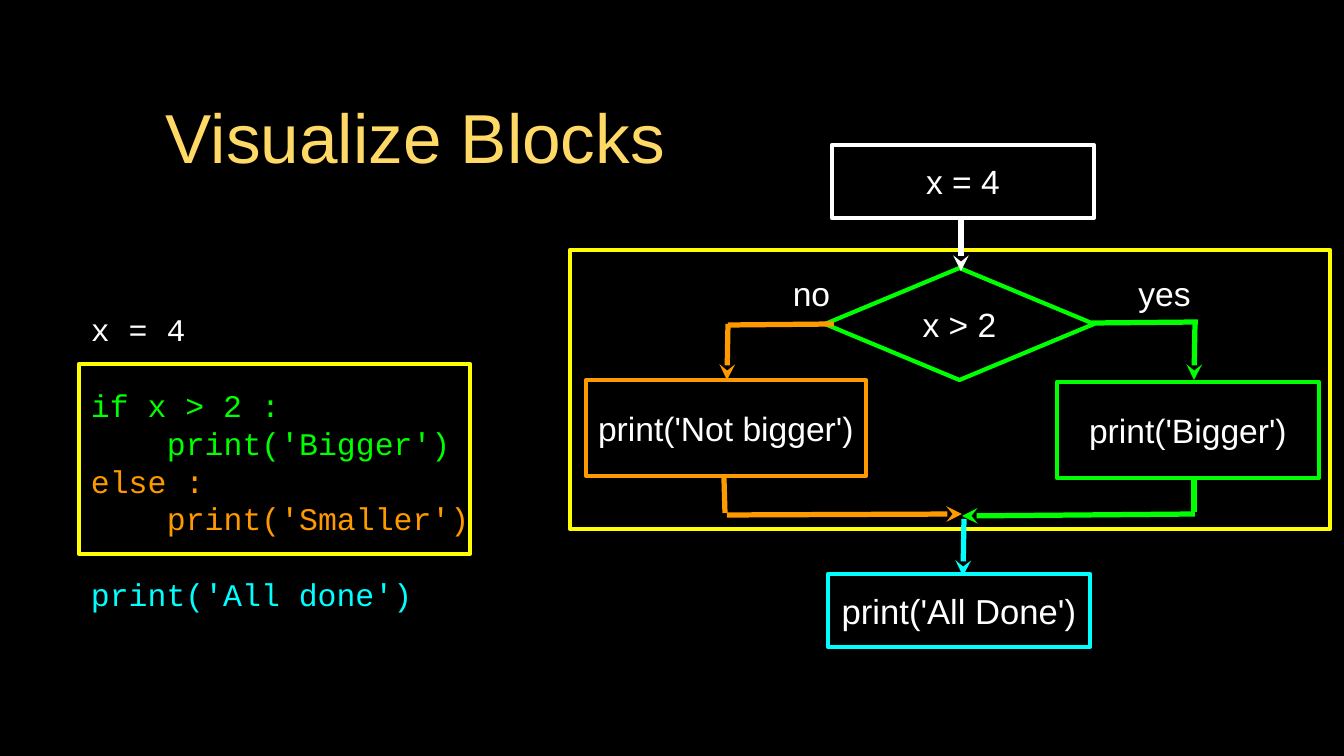
import pptx
import pptx.util
import pptx.dml.color
import pptx.enum.shapes
import pptx.enum.text
import pptx.oxml.ns
import lxml.etree

EMU_PER_PIXEL = 914400 / 75.6
COLORS = {
    "background": "000000", "title": "FFD966", "text": "FFFFFF", "block": "FFFF00",
    "yes": "00FF00", "no": "FF9900", "done": "00FFFF",
}
ALIGN = pptx.enum.text.PP_ALIGN
SHAPE = pptx.enum.shapes.MSO_SHAPE


def px(length):
    return pptx.util.Emu(round(length * EMU_PER_PIXEL))


def color(name):
    return pptx.dml.color.RGBColor.from_string(COLORS[name])


def add_text(frame, text, *, size=32, font="Arial", ink="text", align=ALIGN.CENTER,
             first=True, indent=0, before=0, leading=None):
    """Write one paragraph into a text frame."""
    para = frame.paragraphs[0] if first else frame.add_paragraph()
    para.alignment = align
    para.space_before = pptx.util.Pt(before)
    if leading:
        para.line_spacing = pptx.util.Pt(leading)
    if indent:
        para._p.get_or_add_pPr().set("marL", str(px(indent)))
    span = para.add_run()
    span.text = text
    span.font.size = pptx.util.Pt(size)
    span.font.name = font
    span.font.color.rgb = color(ink)


def prepare_frame(box, wrap=True, top=0):
    frame = box.text_frame
    frame.word_wrap = wrap
    frame.vertical_anchor = pptx.enum.text.MSO_ANCHOR.MIDDLE
    frame.margin_left = frame.margin_right = frame.margin_bottom = 0
    frame.margin_top = px(top)
    return frame


def add_label(page, left, top, width, height, text, **style):
    box = page.shapes.add_textbox(px(left), px(top), px(width), px(height))
    add_text(prepare_frame(box, wrap=False), text, **style)


def add_outline(page, left, top, width, height, ink, text="", kind=SHAPE.RECTANGLE, **style):
    box = page.shapes.add_shape(kind, px(left), px(top), px(width), px(height))
    box.shadow.inherit = False
    box.fill.background()
    box.line.color.rgb = color(ink)
    box.line.width = pptx.util.Pt(4)
    if text:
        add_text(prepare_frame(box, wrap=False), text, **style)


def add_line(page, start, end, ink, arrow):
    line = page.shapes.add_connector(
        pptx.enum.shapes.MSO_CONNECTOR.STRAIGHT, *map(px, start + end))
    line.line.color.rgb = color(ink)
    line.line.width = pptx.util.Pt(5)
    if arrow:
        tip = lxml.etree.SubElement(line.line._get_or_add_ln(), pptx.oxml.ns.qn("a:tailEnd"))
        tip.set("type", "stealth")
    lxml.etree.SubElement(line._element.spPr, pptx.oxml.ns.qn("a:effectLst"))


def build_code(page, left, top):
    """The listing, with its if/else block framed."""
    add_outline(page, left, top + 71, 391, 190, "block")
    box = page.shapes.add_textbox(px(left + 12), px(top), px(398), px(331))
    frame = prepare_frame(box, top=6)
    leading, indent = 36, 76
    lines = [  # text, colour, indent, space before
        ("x = 4", "text", 0, 0),
        ("if x > 2 :", "yes", 0, leading),
        ("print('Bigger')", "yes", indent, 0),
        ("else :", "no", 0, 0),
        ("print('Smaller')", "no", indent, 0),
        ("print('All done')", "done", 0, leading),
    ]
    for number, (text, ink, margin, before) in enumerate(lines):
        add_text(frame, text, size=30, font="Courier New", ink=ink, align=ALIGN.LEFT,
                 first=number == 0, indent=margin, before=before, leading=leading)


def build_flowchart(page, left, top):
    """The decision, its two branches and the steps around them."""
    add_outline(page, left, top + 105, 760, 279, "block")
    add_outline(page, left + 255, top + 123, 269, 112, "yes", "x > 2", SHAPE.DIAMOND)

    # Branch labels
    add_label(page, left + 561, top + 127, 67, 42, "yes")
    add_label(page, left + 221, top + 127, 41, 42, "no")

    # Lines and arrows
    links = [  # start, end, colour, arrowhead
        ((522, 178), (628, 177), "yes", False),
        ((625, 179), (624, 235), "yes", True),
        ((624, 332), (624, 367), "yes", False),
        ((625, 369), (392, 371), "yes", True),
        ((264, 179), (158, 180), "no", False),
        ((158, 179), (157, 235), "no", True),
        ((154, 333), (155, 368), "no", False),
        ((157, 370), (392, 369), "no", True),
        ((391, 74), (391, 126), "text", True),
        ((394, 374), (393, 431), "done", True),
    ]
    for start, end, ink, arrow in links:
        add_line(page, (left + start[0], top + start[1]),
                 (left + end[0], top + end[1]), ink, arrow)

    # Steps
    steps = [  # place, colour, text, text size
        ((262, 0, 262, 73), "text", "x = 4", 32),
        ((487, 237, 262, 96), "yes", "print('Bigger')", 32),
        ((16, 235, 280, 96), "no", "print('Not bigger')", 32),
        ((258, 429, 262, 73), "done", "print('All Done')", 33),
    ]
    for (x, y, width, height), ink, text, size in steps:
        add_outline(page, left + x, top + y, width, height, ink, text, size=size)


def build_slide(deck):
    page = deck.slides.add_slide(deck.slide_layouts[6])
    page.background.fill.solid()
    page.background.fill.fore_color.rgb = color("background")
    add_label(page, 95, 62, 641, 148, "Visualize Blocks", size=66, ink="title")
    build_code(page, 79, 293)
    build_flowchart(page, 570, 145)


deck = pptx.Presentation()
deck.slide_width, deck.slide_height = px(1344), px(756)
build_slide(deck)
deck.save("out.pptx")
